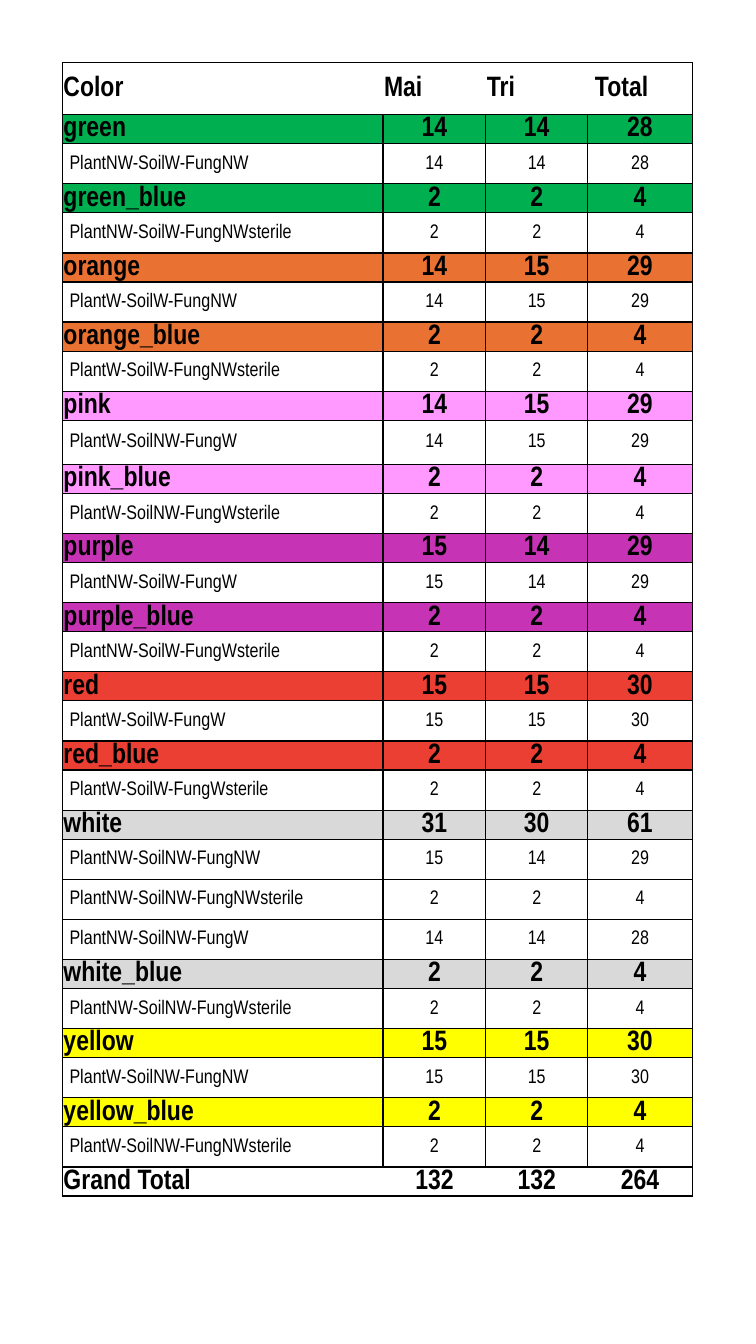
from dataclasses import dataclass

from lxml import etree
from pptx import Presentation
from pptx.dml.color import RGBColor
from pptx.enum.text import MSO_ANCHOR, PP_ALIGN
from pptx.oxml.ns import qn
from pptx.util import Inches, Pt

MIDDLE = MSO_ANCHOR.MIDDLE
LEFT, CENTER = PP_ALIGN.LEFT, PP_ALIGN.CENTER


@dataclass(frozen=True)
class Theme:
    """Colours, font and type sizes of the slide."""
    font: str = "Arial Narrow"
    strong_size: int = 20
    detail_size: int = 14
    ink: str = "000000"
    paper: str = "FFFFFF"
    green: str = "00B050"
    orange: str = "E97132"
    pink: str = "FF99FF"
    purple: str = "C634B5"
    red: str = "EA3F32"
    grey: str = "D9D9D9"
    yellow: str = "FFFF00"
    border: float = 1


THEME = Theme()
TABLE_BOX = (0.62, 0.62, 6.25, 11.25)
COLUMN_SHARES = (3.18, 1.02, 1.01, 1.04)
HEADER_HEIGHT, STRONG_HEIGHT, DETAIL_HEIGHT = 0.52, 0.29, 0.4
TALL_DETAIL, TALL_HEIGHT = "PlantW-SoilNW-FungW", 0.44
HEADINGS = ("Color", "Mai", "Tri", " Total")
GROUPS = (
    ("green", THEME.green, [("PlantNW-SoilW-FungNW", 14, 14)]),
    ("green_blue", THEME.green, [("PlantNW-SoilW-FungNWsterile", 2, 2)]),
    ("orange", THEME.orange, [("PlantW-SoilW-FungNW", 14, 15)]),
    ("orange_blue", THEME.orange, [("PlantW-SoilW-FungNWsterile", 2, 2)]),
    ("pink", THEME.pink, [("PlantW-SoilNW-FungW", 14, 15)]),
    ("pink_blue", THEME.pink, [("PlantW-SoilNW-FungWsterile", 2, 2)]),
    ("purple", THEME.purple, [("PlantNW-SoilW-FungW", 15, 14)]),
    ("purple_blue", THEME.purple, [("PlantNW-SoilW-FungWsterile", 2, 2)]),
    ("red", THEME.red, [("PlantW-SoilW-FungW", 15, 15)]),
    ("red_blue", THEME.red, [("PlantW-SoilW-FungWsterile", 2, 2)]),
    ("white", THEME.grey, [("PlantNW-SoilNW-FungNW", 15, 14),
                           ("PlantNW-SoilNW-FungNWsterile", 2, 2),
                           ("PlantNW-SoilNW-FungW", 14, 14)]),
    ("white_blue", THEME.grey, [("PlantNW-SoilNW-FungWsterile", 2, 2)]),
    ("yellow", THEME.yellow, [("PlantW-SoilNW-FungNW", 15, 15)]),
    ("yellow_blue", THEME.yellow, [("PlantW-SoilNW-FungNWsterile", 2, 2)]),
)


@dataclass
class Row:
    """One table row and its look."""
    texts: tuple
    height: float
    fill: str | None = None
    strong: bool = True
    align: int = CENTER
    divided: bool = True


def count_texts(label, members):
    """Return a label with the sums of both months and their total."""
    mai = sum(member[1] for member in members)
    tri = sum(member[2] for member in members)
    return label, str(mai), str(tri), str(mai + tri)


def build_rows():
    """List the header, the colour groups with their members, and the grand total."""
    rows = [Row(HEADINGS, HEADER_HEIGHT, THEME.paper, align=LEFT, divided=False)]
    everything = []
    for name, colour, members in GROUPS:
        rows.append(Row(count_texts(name, members), STRONG_HEIGHT, colour))
        for member in members:
            height = TALL_HEIGHT if member[0] == TALL_DETAIL else DETAIL_HEIGHT
            rows.append(Row(count_texts(member[0], [member]), height, strong=False))
        everything += members
    rows.append(Row(count_texts("Grand Total", everything), STRONG_HEIGHT, divided=False))
    return rows


def set_borders(cell, visible_sides):
    """Draw the named sides of a cell and clear the others."""
    properties = cell._tc.get_or_add_tcPr()
    for index, side in enumerate("LRTB"):
        line = etree.Element(qn(f"a:ln{side}"), w=str(Pt(THEME.border)))
        if side in visible_sides:
            fill = etree.SubElement(line, qn("a:solidFill"))
            etree.SubElement(fill, qn("a:srgbClr"), val=THEME.ink)
        else:
            etree.SubElement(line, qn("a:noFill"))
        properties.insert(index, line)


def fill_cell(cell, row, column):
    """Write one cell in the look of its row."""
    is_label = column == 0
    cell.margin_left = Inches(0.07 if is_label and not row.strong else 0.01)
    cell.margin_top = cell.margin_right = Inches(0.01)
    cell.margin_bottom = 0
    cell.vertical_anchor = MIDDLE
    if row.fill:
        cell.fill.solid()
        cell.fill.fore_color.rgb = RGBColor.from_string(row.fill)
    else:
        cell.fill.background()
    paragraph = cell.text_frame.paragraphs[0]
    paragraph.text = row.texts[column]
    paragraph.alignment = LEFT if is_label else row.align
    font = paragraph.font
    font.name = THEME.font
    font.size = Pt(THEME.strong_size if row.strong else THEME.detail_size)
    font.bold = row.strong
    font.color.rgb = RGBColor.from_string(THEME.ink)
    left = "L" if row.divided or is_label else ""
    right = "R" if row.divided or column == len(row.texts) - 1 else ""
    set_borders(cell, "TB" + left + right)


def add_count_table(slide, box):
    """Place the table of counts by colour in the box."""
    rows = build_rows()
    left, top, width, height = map(Inches, box)
    frame = slide.shapes.add_table(len(rows), len(HEADINGS), left, top, width, height)
    table = frame.table
    table.first_row = table.horz_banding = False
    for column, share in zip(table.columns, COLUMN_SHARES):
        column.width = int(width * share / sum(COLUMN_SHARES))
    scale = box[3] / sum(row.height for row in rows)
    for row_index, row in enumerate(rows):
        table.rows[row_index].height = Inches(row.height * scale)
        for column in range(len(HEADINGS)):
            fill_cell(table.cell(row_index, column), row, column)


def main():
    """Build and save the slide."""
    presentation = Presentation()
    presentation.slide_width, presentation.slide_height = Inches(7.5), Inches(13.33)
    slide = presentation.slides.add_slide(presentation.slide_layouts[6])
    add_count_table(slide, TABLE_BOX)
    presentation.save("out.pptx")


if __name__ == "__main__":
    main()
